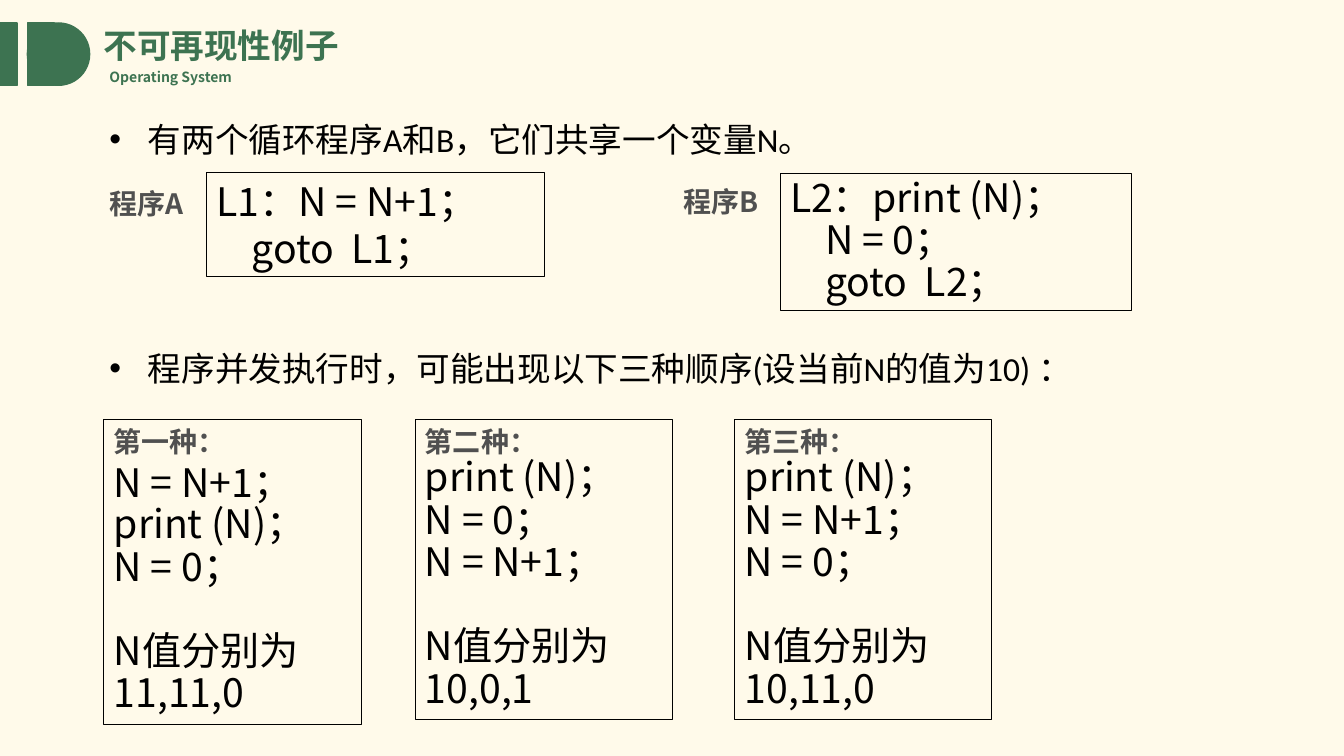
"""Build the slide on non-reproducible results of concurrent programs."""
from dataclasses import dataclass

from lxml import etree
from pptx import Presentation
from pptx.dml.color import RGBColor
from pptx.enum.shapes import MSO_SHAPE
from pptx.enum.text import MSO_ANCHOR, PP_ALIGN
from pptx.oxml.ns import qn
from pptx.util import Cm, Pt

CREAM = RGBColor(0xFF, 0xFA, 0xEA)
GREEN = RGBColor(0x3D, 0x73, 0x51)
GREY = RGBColor(0x50, 0x50, 0x50)
BLACK = RGBColor(0, 0, 0)
SANS = "Noto Sans CJK SC"
BODY = "Calibri"
RECTANGLE, OVAL = MSO_SHAPE.RECTANGLE, MSO_SHAPE.OVAL
TOP, MIDDLE = MSO_ANCHOR.TOP, MSO_ANCHOR.MIDDLE
LEFT = PP_ALIGN.LEFT
BULLET_INDENT = Cm(0.97)
CASE_TOP, CASE_WIDTH = 10.57, 6.48


@dataclass
class Area:
    """Place and size in centimetres."""
    left: float
    top: float
    width: float
    height: float

    def lengths(self) -> tuple[Cm, Cm, Cm, Cm]:
        """Return the four values as lengths."""
        return Cm(self.left), Cm(self.top), Cm(self.width), Cm(self.height)


@dataclass
class Line:
    """One paragraph with its look."""
    text: str
    size: float = 28
    color: RGBColor = BLACK
    bold: bool = False
    font: str = SANS
    spacing: float = 1.0
    before: float = 0
    bullet: bool = False


@dataclass
class Program:
    """A labelled listing."""
    label: str
    label_area: Area
    area: Area
    code: list[str]
    spacing: float


@dataclass
class Case:
    """One execution order and its printed values."""
    label: str
    left: float
    height: float
    code: list[str]
    values: str
    first_spacing: float = 0.9


PROGRAMS = [
    Program("程序A", Area(2.51, 4.57, 3.12, 1.12), Area(5.21, 4.34, 8.51, 2.62),
            ["L1：N = N+1；", "    goto  L1；"], 1.0),
    Program("程序B", Area(16.97, 4.52, 3.12, 1.12), Area(19.66, 4.37, 8.86, 3.45),
            ["L2：print (N)；", "    N = 0；", "    goto  L2；"], 0.9),
]
CASES = [
    Case("第一种：", 2.62, 7.7, ["N = N+1；", "print (N)；", "N = 0；"], "11,11,0", 1.0),
    Case("第二种：", 10.46, 7.57, ["print (N)；", "N = 0；", "N = N+1；"], "10,0,1"),
    Case("第三种：", 18.52, 7.57, ["print (N)；", "N = N+1；", "N = 0；"], "10,11,0"),
]
BULLETS = [
    (Area(2.51, 2.87, 22.5, 1.27), "有两个循环程序A和B，它们共享一个变量N。"),
    (Area(2.51, 8.64, 26.37, 1.27), "程序并发执行时，可能出现以下三种顺序(设当前N的值为10) ："),
]
BADGE = [
    (RECTANGLE, Area(0, 0.58, 0.43, 1.57)),
    (RECTANGLE, Area(0.69, 0.58, 0.69, 1.57)),
    (OVAL, Area(0.69, 0.58, 1.57, 1.57)),
]


def write(box, lines: list[Line], anchor=TOP) -> None:
    """Fill a box with paragraphs."""
    frame = box.text_frame
    frame.word_wrap = True
    frame.vertical_anchor = anchor
    for index, line in enumerate(lines):
        para = frame.add_paragraph() if index else frame.paragraphs[0]
        para.add_run().text = line.text
        para.alignment = LEFT
        para.line_spacing = line.spacing
        if line.before:
            para.space_before = Pt(line.before)
        if line.bullet:
            settings = para._p.get_or_add_pPr()
            settings.set("marL", str(BULLET_INDENT))
            settings.set("indent", str(-BULLET_INDENT))
            etree.SubElement(settings, qn("a:buFont")).set("typeface", "Arial")
            etree.SubElement(settings, qn("a:buChar")).set("char", "•")
        font = para.font
        font.size, font.bold, font.name = Pt(line.size), line.bold, line.font
        font.color.rgb = line.color
        properties = para._p.pPr.find(qn("a:defRPr"))
        etree.SubElement(properties, qn("a:ea")).set("typeface", SANS)


def add_text(page, area: Area, line: Line, anchor=TOP) -> None:
    """Add a text box holding one line."""
    write(page.shapes.add_textbox(*area.lengths()), [line], anchor)


def add_frame(page, area: Area, lines: list[Line]) -> None:
    """Add an outlined box of code."""
    box = page.shapes.add_shape(RECTANGLE, *area.lengths())
    box.shadow.inherit = False
    box.fill.background()
    box.line.color.rgb = BLACK
    box.line.width = Pt(0.75)
    write(box, lines)


def add_badge(page) -> None:
    """Add the green mark beside the title."""
    for kind, area in BADGE:
        part = page.shapes.add_shape(kind, *area.lengths())
        part.shadow.inherit = False
        part.fill.solid()
        part.fill.fore_color.rgb = GREEN
        part.line.color.rgb = GREEN
        part.line.width = Pt(1)


def add_program(page, program: Program) -> None:
    """Add a program listing and its label."""
    add_frame(page, program.area,
              [Line(code, spacing=program.spacing) for code in program.code])
    add_text(page, program.label_area, Line(program.label, 20, GREY, True))


def add_case(page, case: Case) -> None:
    """Add one execution order."""
    first, *rest = case.code
    lines = [Line(case.label, 20, GREY, True), Line(first, spacing=case.first_spacing)]
    lines += [Line(code, spacing=0.9) for code in rest]
    lines.append(Line(f"N值分别为{case.values}", spacing=0.9, before=30))
    add_frame(page, Area(case.left, CASE_TOP, CASE_WIDTH, case.height), lines)


def main() -> None:
    """Build and save the deck."""
    deck = Presentation()
    deck.slide_width, deck.slide_height = Cm(33.87), Cm(19.05)
    page = deck.slides.add_slide(deck.slide_layouts[6])
    page.background.fill.solid()
    page.background.fill.fore_color.rgb = CREAM
    add_badge(page)
    add_text(page, Area(2.51, 1.6, 3.73, 0.69), Line("Operating System", 10, GREEN, True))
    add_text(page, Area(2.36, 0.56, 11.02, 1.27),
             Line("不可再现性例子", 24, GREEN, True, spacing=0.9), MIDDLE)
    for area, text in BULLETS:
        add_text(page, area, Line(text, 24, font=BODY, bullet=True))
    for program in PROGRAMS:
        add_program(page, program)
    for case in CASES:
        add_case(page, case)
    deck.save("out.pptx")


if __name__ == "__main__":
    main()
